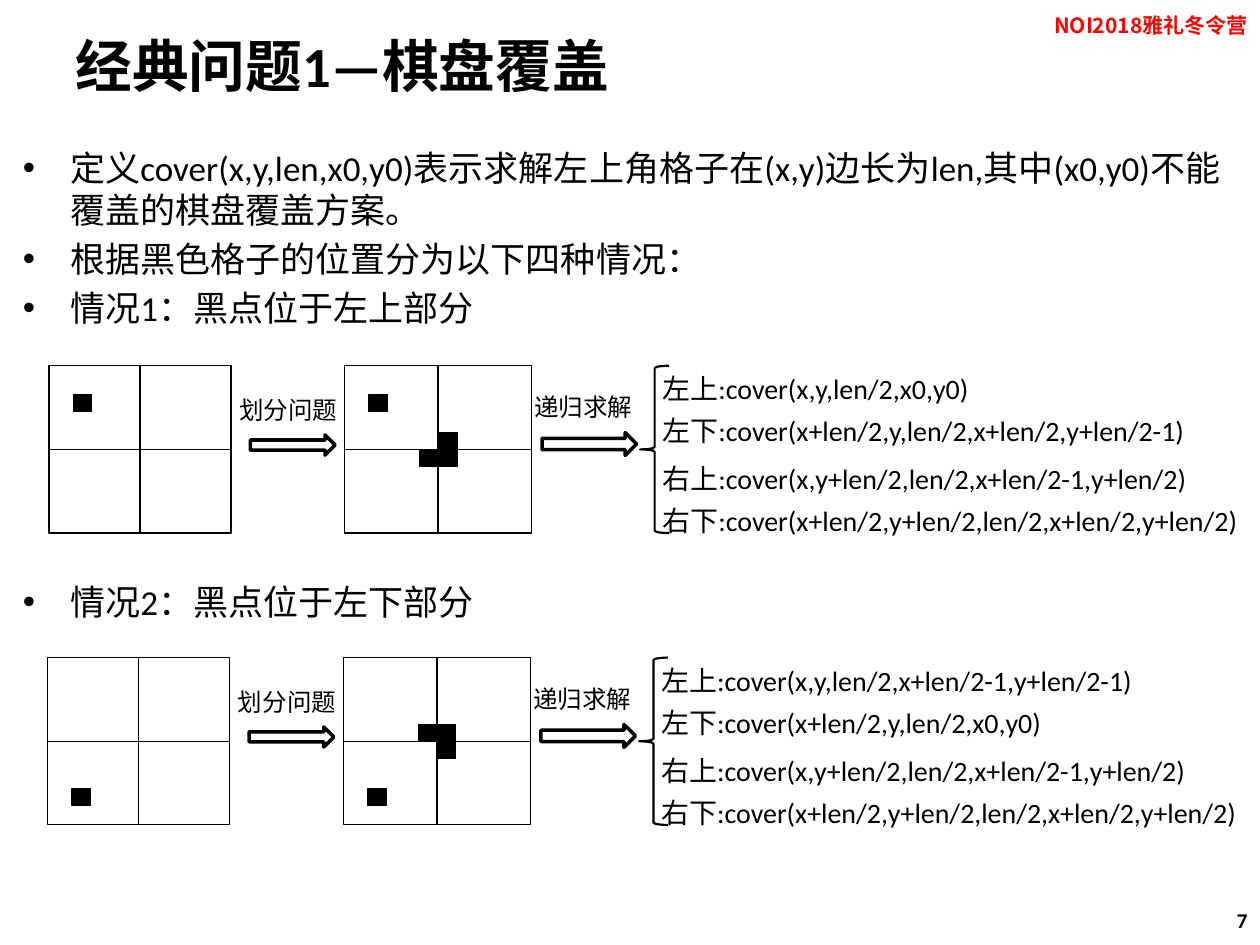
from lxml import etree
from pptx import Presentation
from pptx.dml.color import RGBColor
from pptx.enum.lang import MSO_LANGUAGE_ID as Lang
from pptx.enum.shapes import MSO_SHAPE as Shape
from pptx.enum.text import MSO_ANCHOR as Anchor, MSO_AUTO_SIZE as AutoSize, PP_ALIGN as Align
from pptx.oxml.ns import qn
from pptx.util import Pt

LATIN, CHINESE = "Calibri", "Noto Sans CJK SC"
color = RGBColor.from_string


def add_text(shapes, bounds, lines, size, bold=False, font=LATIN, ink="000000",
             align=Align.LEFT, anchor=Anchor.TOP):
    box = shapes.add_textbox(*[Pt(value) for value in bounds])
    frame = box.text_frame
    frame.word_wrap = True
    frame.vertical_anchor = anchor
    for index, line in enumerate(lines):
        para = frame.paragraphs[0] if index == 0 else frame.add_paragraph()
        para.alignment = align
        span = para.add_run()
        span.text = line
        span.font.size, span.font.bold, span.font.name = Pt(size), bold, font
        span.font.color.rgb = color(ink)
        span.font.language_id = Lang.SIMPLIFIED_CHINESE
        east_asian = etree.SubElement(span.font._element, qn("a:ea"))
        east_asian.set("typeface", font)
    return frame


def add_figure(shapes, kind, bounds, fill=None, weight=0.75):
    figure = shapes.add_shape(kind, *[Pt(value) for value in bounds])
    figure.shadow.inherit = False
    if fill:
        figure.fill.solid()
        figure.fill.fore_color.rgb = color(fill)
    else:
        figure.fill.background()
    figure.line.color.rgb = color("000000")
    figure.line.width = Pt(weight)


deck = Presentation()
deck.slide_width, deck.slide_height = Pt(720), Pt(540)
page = deck.slides.add_slide(deck.slide_layouts[6])

# Title
add_text(page.shapes, (36, 12, 648, 50), ["经典问题1—棋盘覆盖"], 32.4, bold=True,
         anchor=Anchor.MIDDLE)

# Bulleted text, with room for the first diagram above the last bullet
bullets = [
    "定义cover(x,y,len,x0,y0)表示求解左上角格子在(x,y)边长为len,其中(x0,y0)不能覆盖的棋盘覆盖方案。",
    "根据黑色格子的位置分为以下四种情况：",
    "情况1：黑点位于左上部分",
    "情况2：黑点位于左下部分",
]
body = add_text(page.shapes, (6, 80, 705, 430), bullets, 20)
for para, space in zip(body.paragraphs, (0, 4, 4, 144)):
    para.space_before = Pt(space)
    properties = para._p.get_or_add_pPr()
    properties.set("marL", str(Pt(27)))
    properties.set("indent", str(Pt(-27)))
    etree.SubElement(properties, qn("a:buFont")).set("typeface", "Arial")
    etree.SubElement(properties, qn("a:buChar")).set("char", "•")

# Each case: left, top, height of the black dot on the board,
# central cells to fill (column, row), and the four calls
cases = [
    (28, 209, 16.5, [(0, 1), (1, 0), (1, 1)], [
        "左上:cover(x,y,len/2,x0,y0)",
        "左下:cover(x+len/2,y,len/2,x+len/2,y+len/2-1)",
        "右上:cover(x,y+len/2,len/2,x+len/2-1,y+len/2)",
        "右下:cover(x+len/2,y+len/2,len/2,x+len/2,y+len/2)"]),
    (27.3, 375.8, 75, [(0, 0), (1, 0), (1, 1)], [
        "左上:cover(x,y,len/2,x+len/2-1,y+len/2-1)",
        "左下:cover(x+len/2,y,len/2,x0,y0)",
        "右上:cover(x,y+len/2,len/2,x+len/2-1,y+len/2)",
        "右下:cover(x+len/2,y+len/2,len/2,x+len/2,y+len/2)"]),
]
ROW = 47.8
DOT_WIDTH, DOT_HEIGHT = 10.7, 9.6

for left, top, dot_top, center_cells, calls in cases:
    group = page.shapes.add_group_shape().shapes

    # Boards before and after the split, each with its black dot
    for board_left, column in ((left, 52), (left + 169, 53.4)):
        for row_index in range(2):
            for column_index in range(2):
                add_figure(group, Shape.RECTANGLE,
                           (board_left + column_index * column, top + row_index * ROW,
                            column, ROW))
        add_figure(group, Shape.RECTANGLE,
                   (board_left + 13.8, top + dot_top, DOT_WIDTH, DOT_HEIGHT), "000000")

    # Three covered cells around the centre of the second board
    for column_index, row_index in center_cells:
        add_figure(group, Shape.RECTANGLE,
                   (left + 222.4 + (column_index - 1) * DOT_WIDTH,
                    top + ROW + (row_index - 1) * DOT_HEIGHT,
                    DOT_WIDTH, DOT_HEIGHT), "000000")

    # Arrows with their labels
    for label, label_x, label_y, arrow_x, arrow_y, width, height in (
            ("划分问题", 101.6, 13, 115, 39.6, 48.5, 11.5),
            ("递归求解", 270.3, 11.5, 281.8, 38.2, 54, 13)):
        add_figure(group, Shape.RIGHT_ARROW,
                   (left + arrow_x, top + arrow_y, width, height), "FFFFFF", 2)
        frame = add_text(group, (left + label_x, top + label_y, 78.5, 24.5), [label], 14)
        frame.auto_size = AutoSize.SHAPE_TO_FIT_TEXT

    # Brace and recursive calls
    add_figure(group, Shape.LEFT_BRACE, (left + 337.8, top, 16.6, 2 * ROW), weight=1.25)
    for call, offset in zip(calls, (0, 24, 51, 75)):
        frame = add_text(group, (left + 343.5, top + offset, 350, 26.6), [call], 16)
        frame.auto_size = AutoSize.SHAPE_TO_FIT_TEXT

# Page number and event name
add_text(page.shapes, (552, 511, 168, 29), ["7"], 12, bold=True,
         align=Align.RIGHT, anchor=Anchor.MIDDLE)
add_text(page.shapes, (492, 0, 228, 29), ["NOI2018雅礼冬令营"], 12, bold=True,
         font=CHINESE, ink="FF0000", align=Align.RIGHT, anchor=Anchor.MIDDLE)

deck.save("out.pptx")
